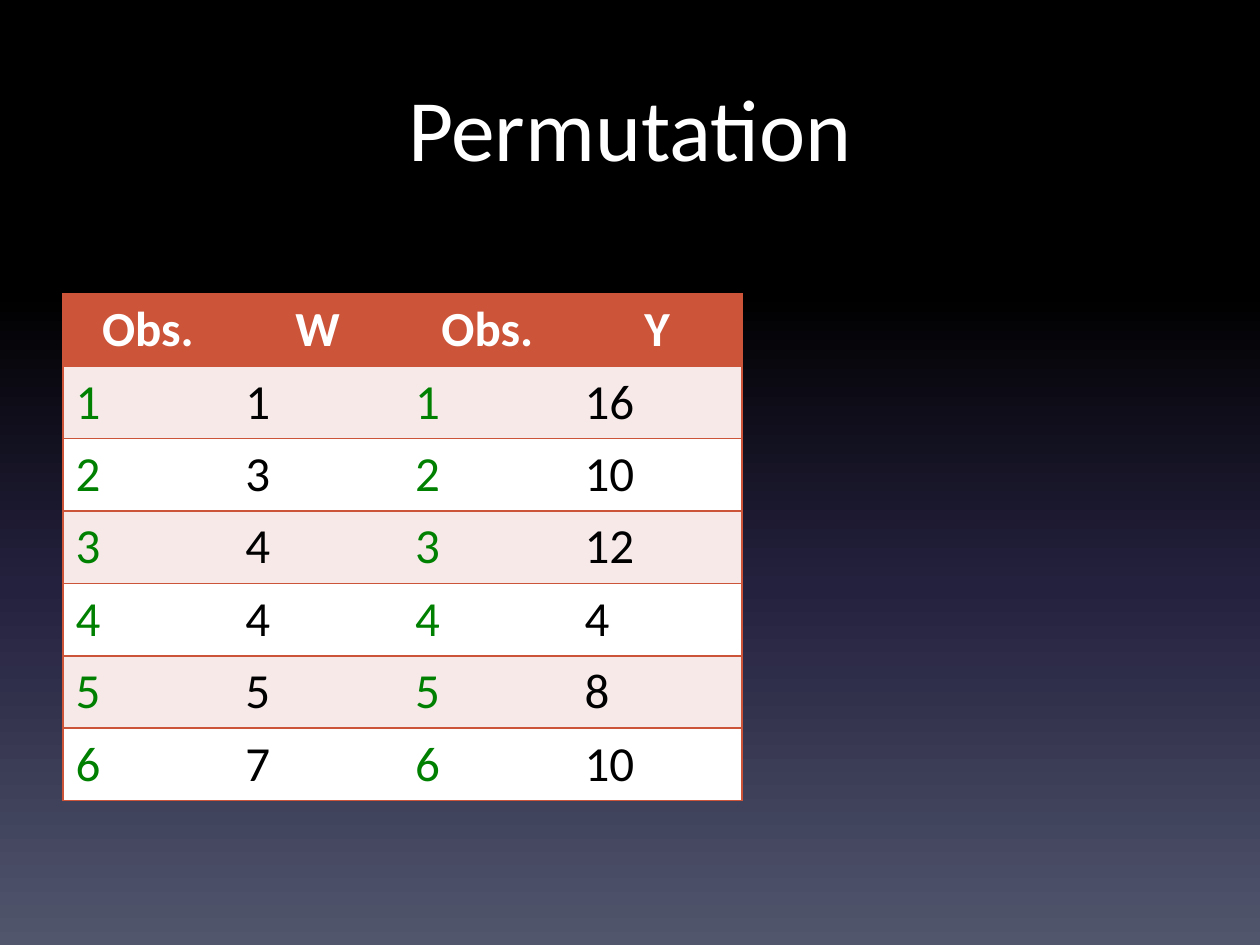
from lxml.etree import SubElement
from pptx import Presentation
from pptx.dml.color import RGBColor
from pptx.enum.text import MSO_ANCHOR as Anchor, PP_ALIGN as Align
from pptx.oxml.ns import qn
from pptx.util import Pt

BLACK = RGBColor(0x00, 0x00, 0x00)
WHITE = RGBColor(0xFF, 0xFF, 0xFF)
NAVY = RGBColor(0x24, 0x21, 0x3E)
SLATE = RGBColor(0x51, 0x56, 0x6D)
RUST = RGBColor(0xCC, 0x54, 0x39)
PINK = RGBColor(0xF6, 0xE9, 0xE8)
GREEN = RGBColor(0x00, 0x80, 0x00)

BACKGROUND_STOPS = [(0, BLACK), (31, BLACK), (62, NAVY), (100, SLATE)]
NO_STYLE = "{2D5ABB26-0587-4C30-8999-92F81FD0307C}"
COLUMN_WIDTH = 97
ROW_HEIGHT = 41.4
HEADINGS = ["Obs.", "W", "Obs.", "Y"]
W_VALUES = [1, 3, 4, 4, 5, 7]
Y_VALUES = [16, 10, 12, 4, 8, 10]


def add_color(parent, color):
    """Append an RGB colour element to the parent."""
    SubElement(parent, qn("a:srgbClr"), val=str(color))


def paint_background(slide):
    """Fill the slide from top to bottom with the gradient."""
    fill = slide.background.fill
    fill.gradient()
    fill.gradient_angle = 270
    stop_list = next(slide.element.iter(qn("a:gsLst")))
    for stop in list(stop_list):
        stop_list.remove(stop)
    for percent, color in BACKGROUND_STOPS:
        stop = SubElement(stop_list, qn("a:gs"), pos=str(percent * 1000))
        add_color(stop, color)


def write_text(text_frame, text, size=28, color=BLACK, bold=False, align=Align.LEFT):
    """Write one formatted paragraph into the text frame."""
    paragraph = text_frame.paragraphs[0]
    paragraph.alignment = align
    run = paragraph.add_run()
    run.text = text
    font = run.font
    font.name = "Calibri"
    font.size = Pt(size)
    font.bold = bold
    font.color.rgb = color


def add_title(slide, text):
    """Add the centred slide title."""
    shape = slide.shapes.add_textbox(Pt(36), Pt(36), Pt(648), Pt(90))
    text_frame = shape.text_frame
    text_frame.word_wrap = True
    text_frame.vertical_anchor = Anchor.TOP
    text_frame.margin_top = Pt(6)
    write_text(text_frame, text, size=50, color=WHITE, align=Align.CENTER)


def add_borders(cell, sides):
    """Draw the cell's borders on the given sides, in schema order."""
    properties = cell._tc.get_or_add_tcPr()
    for side in sides:
        line = SubElement(properties, qn(f"a:ln{side}"), w=str(Pt(1)))
        add_color(SubElement(line, qn("a:solidFill")), RUST)


def format_cell(cell, text, row, column):
    """Write and style one cell according to its place in the table."""
    if row == 0:
        fill_color = RUST
        write_text(cell.text_frame, text, color=WHITE, bold=True, align=Align.CENTER)
    else:
        fill_color = PINK if row % 2 else WHITE
        write_text(cell.text_frame, text, color=BLACK if column % 2 else GREEN)
    outer_sides = {0: "L", len(HEADINGS) - 1: "R"}
    add_borders(cell, outer_sides.get(column, "") + "TB")
    cell.fill.solid()
    cell.fill.fore_color.rgb = fill_color


def add_observation_table(slide):
    """Add the table of numbered W and Y observations."""
    pairs = enumerate(zip(W_VALUES, Y_VALUES), start=1)
    rows = [HEADINGS] + [[number, w, number, y] for number, (w, y) in pairs]
    frame = slide.shapes.add_table(
        len(rows), len(HEADINGS), Pt(36), Pt(167.8),
        Pt(COLUMN_WIDTH * len(HEADINGS)), Pt(ROW_HEIGHT * len(rows)),
    )
    table = frame.table
    next(frame.element.iter(qn("a:tableStyleId"))).text = NO_STYLE
    for column in table.columns:
        column.width = Pt(COLUMN_WIDTH)
    for row, values in enumerate(rows):
        table.rows[row].height = Pt(ROW_HEIGHT)
        for column, value in enumerate(values):
            format_cell(table.cell(row, column), str(value), row, column)


def main():
    """Build and save the presentation."""
    presentation = Presentation()
    presentation.slide_width = Pt(720)
    presentation.slide_height = Pt(540)
    slide = presentation.slides.add_slide(presentation.slide_layouts[6])
    paint_background(slide)
    add_title(slide, "Permutation")
    add_observation_table(slide)
    presentation.save("out.pptx")


if __name__ == "__main__":
    main()
